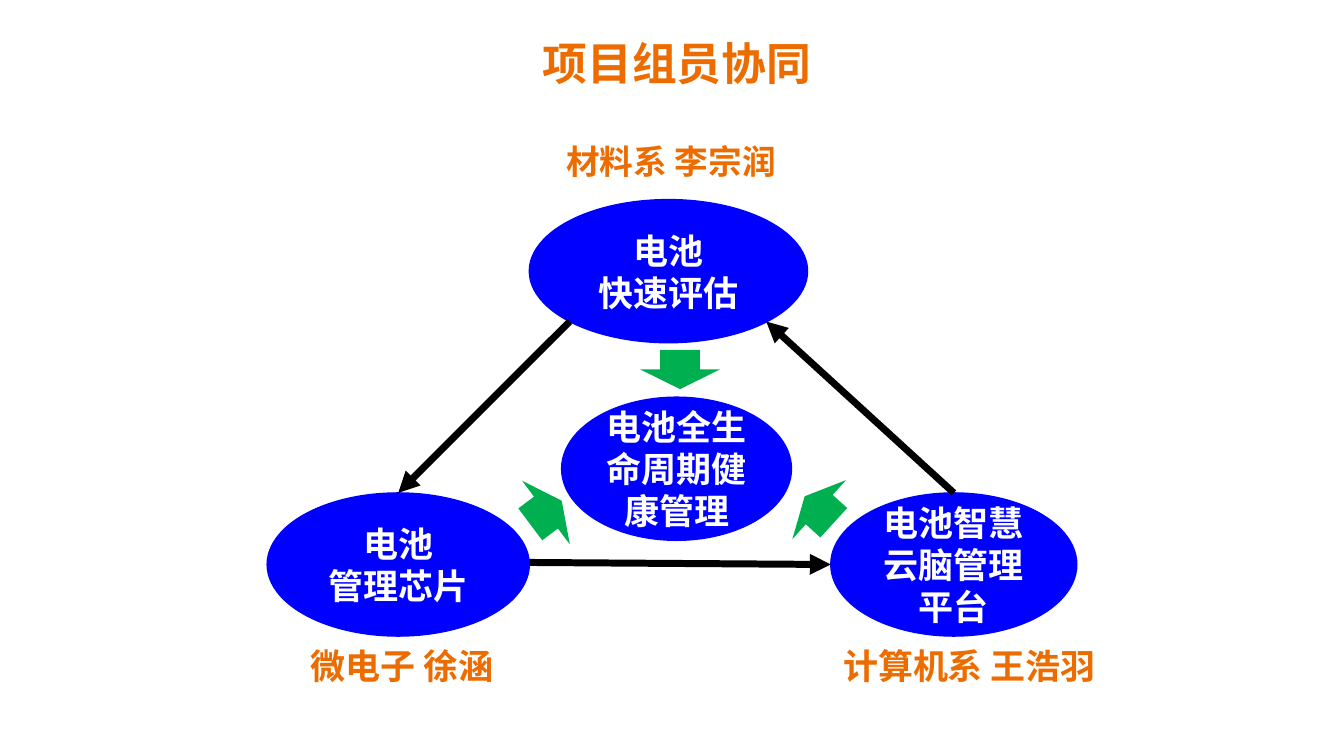
from dataclasses import dataclass

from lxml.etree import SubElement
from pptx import Presentation
from pptx.dml.color import RGBColor
from pptx.enum.shapes import MSO_CONNECTOR as Connector, MSO_SHAPE as Preset
from pptx.enum.text import MSO_ANCHOR as Anchor, PP_ALIGN as Align
from pptx.oxml.ns import qn
from pptx.util import Emu, Pt


@dataclass(frozen=True)
class Theme:
    font: str = "Times New Roman"
    node: RGBColor = RGBColor(0x00, 0x00, 0xFF)
    node_text: RGBColor = RGBColor(0xFF, 0xFF, 0xFF)
    heading: RGBColor = RGBColor(0xED, 0x6C, 0x00)
    inward: RGBColor = RGBColor(0x00, 0xB0, 0x50)
    cycle: RGBColor = RGBColor(0x00, 0x00, 0x00)
    title_size: int = 32
    body_size: int = 25
    top_size: int = 24


theme = Theme()
PX = 9144


def px(*lengths):
    return [Emu(length * PX) for length in lengths]


def write(frame, lines, size, color):
    for index, line in enumerate(lines):
        paragraph = frame.paragraphs[0] if index == 0 else frame.add_paragraph()
        paragraph.alignment = Align.CENTER
        run = paragraph.add_run()
        run.text = line
        run.font.name = theme.font
        run.font.size = Pt(size)
        run.font.bold = True
        run.font.color.rgb = color


deck = Presentation()
deck.slide_width, deck.slide_height = px(1333, 750)
slide = deck.slides.add_slide(deck.slide_layouts[6])
shapes = slide.shapes

topics = [
    (557, 394, 228, ["电池全生命周期健康管理"]),
    (824, 489, 244, ["电池智慧云脑管理平台"]),
    (265, 489, 260, ["电池", "管理芯片"]),
    (525, 198, 276, ["电池", "快速评估"]),
]
for left, top, width, lines in topics:
    topic = shapes.add_shape(Preset.FLOWCHART_CONNECTOR, *px(left, top, width, 142))
    topic.shadow.inherit = False
    topic.fill.solid()
    topic.fill.fore_color.rgb = theme.node
    topic.line.color.rgb = theme.node
    topic.line.width = Pt(1)
    topic.text_frame.word_wrap = True
    topic.text_frame.vertical_anchor = Anchor.MIDDLE
    write(topic.text_frame, lines, theme.body_size, theme.node_text)

cycle_ends = [(565, 319, 395, 489), (525, 558, 824, 560), (946, 489, 760, 319)]
for ends in cycle_ends:
    step = shapes.add_connector(Connector.STRAIGHT, *px(*ends))
    step.line.color.rgb = theme.cycle
    step.line.width = Pt(5)
    SubElement(step.line._get_or_add_ln(), qn("a:tailEnd"), type="triangle")
    SubElement(step._element.spPr, qn("a:effectLst"))

for left, top, angle in [(635, 347, 0), (502, 489, 233.1), (773, 486, 132.3)]:
    inward = shapes.add_shape(Preset.DOWN_ARROW, *px(left, top, 79, 39))
    inward.rotation = angle
    inward.shadow.inherit = False
    inward.fill.solid()
    inward.fill.fore_color.rgb = theme.inward
    inward.line.fill.background()

headings = [
    (523, 135, 285, 52, "材料系 李宗润", theme.top_size, True),
    (816, 634, 291, 52, "计算机系 王浩羽", theme.body_size, True),
    (273, 634, 252, 52, "微电子 徐涵", theme.body_size, True),
    (527, 31, 289, 64, "项目组员协同", theme.title_size, False),
]
for left, top, width, height, words, size, wraps in headings:
    heading = shapes.add_textbox(*px(left, top, width, height))
    heading.text_frame.word_wrap = wraps
    write(heading.text_frame, [words], size, theme.heading)

deck.save("out.pptx")
